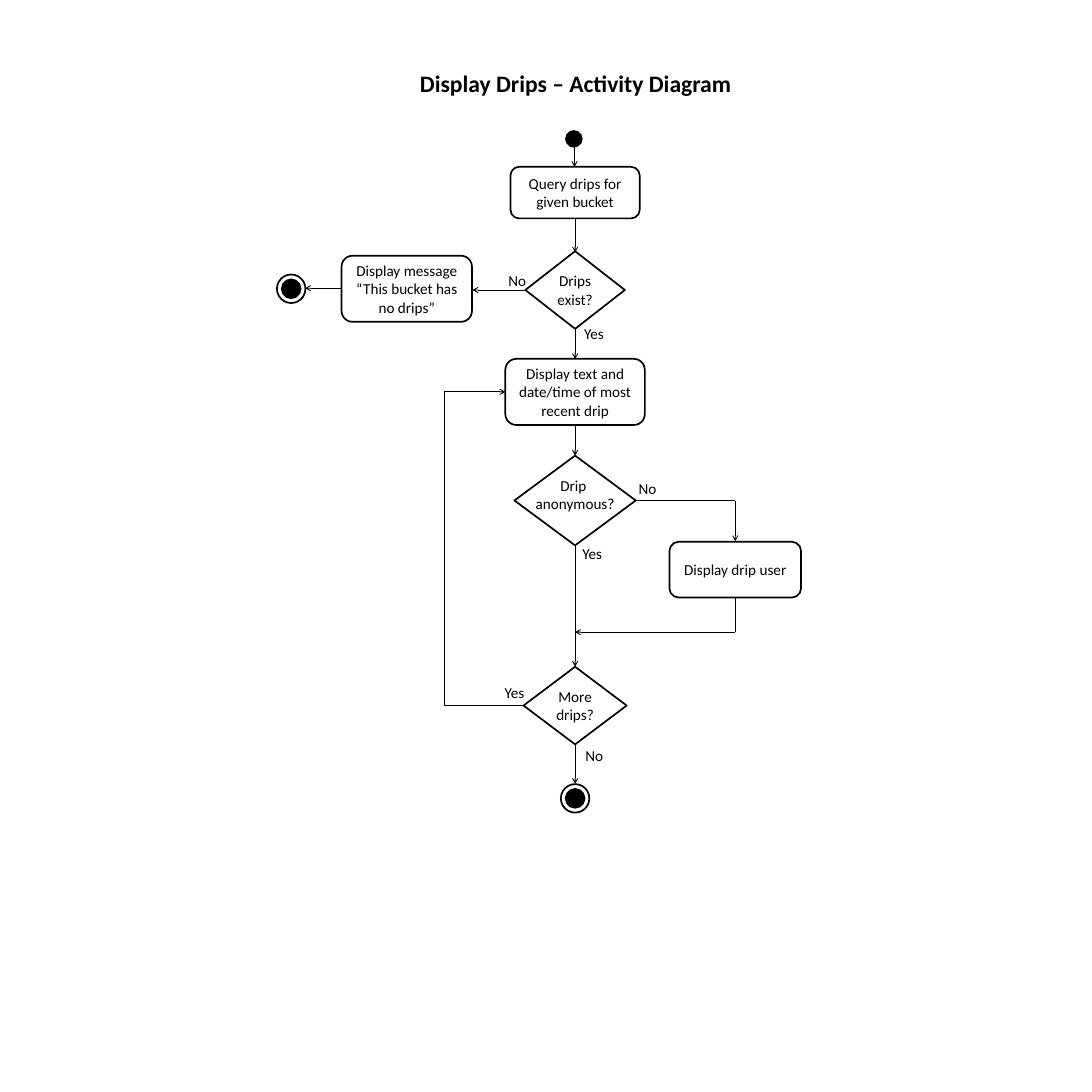
from dataclasses import dataclass

from lxml.etree import SubElement
from pptx import Presentation
from pptx.dml.color import RGBColor
from pptx.enum.shapes import MSO_CONNECTOR, MSO_SHAPE
from pptx.enum.text import MSO_ANCHOR, MSO_AUTO_SIZE, PP_ALIGN
from pptx.oxml.ns import qn
from pptx.shapes.autoshape import Shape
from pptx.slide import Slide
from pptx.text.text import TextFrame
from pptx.util import Inches, Length, Pt

SLIDE_SIZE = Inches(18)
GRID_CELLS = 180
BLACK, WHITE = "000000", "FFFFFF"
SPINE, USER_COLUMN, LOOP_COLUMN = 94.8, 121.2, 73.2
EMPTY_ROW, RECENT_ROW, ANONYMOUS_ROW, MERGE_ROW, MORE_ROW = 47.6, 64.6, 82.5, 104.2, 116.3
ACTION = MSO_SHAPE.FLOWCHART_ALTERNATE_PROCESS
DECISION = MSO_SHAPE.FLOWCHART_DECISION
CIRCLE = MSO_SHAPE.OVAL


@dataclass
class Node:
    kind: MSO_SHAPE
    column: float
    row: float
    columns: float
    rows: float
    text: str = ""
    fill: str = WHITE
    wrap: bool = True
    lift: float = 0


@dataclass
class Flow:
    points: list[tuple[float, float]]


@dataclass
class Label:
    text: str
    column: float
    row: float
    columns: float
    rows: float = 4
    size: int = 18
    bold: bool = False
    align: PP_ALIGN = PP_ALIGN.LEFT


def final_state(column: float, row: float) -> list[Node]:
    return [Node(CIRCLE, column, row, 4.7, 4.7),
            Node(CIRCLE, column, row, 3.1, 3.1, fill=BLACK)]


NODES = [
    Node(CIRCLE, 94.6, 22.9, 2.6, 2.6, fill=BLACK),
    Node(ACTION, SPINE, 31.75, 21.3, 8.5, "Query drips for given bucket"),
    Node(DECISION, SPINE, 47.8, 16.4, 12.8, "Drips exist?"),
    Node(ACTION, 67.05, EMPTY_ROW, 21.5, 10.9, "Display message “This bucket has no drips”"),
    Node(ACTION, SPINE, RECENT_ROW, 23, 10.9, "Display text and date/time of most recent drip"),
    Node(DECISION, SPINE, ANONYMOUS_ROW, 20, 14.8, "Drip \nanonymous?", wrap=False, lift=2),
    Node(ACTION, USER_COLUMN, 93.9, 21.7, 9.2, "Display drip user"),
    Node(DECISION, SPINE, MORE_ROW, 17, 12.8, "More\ndrips?"),
    *final_state(SPINE, 131.6),
    *final_state(48, EMPTY_ROW),
]

FLOWS = [
    Flow([(94.7, 23.2), (94.7, 27.5)]),
    Flow([(SPINE, 36), (SPINE, 41.6)]),
    Flow([(86.6, 47.8), (77.9, 47.8)]),
    Flow([(56.2, 47.5), (50.3, 47.5)]),
    Flow([(SPINE, 54.1), (SPINE, 59.2)]),
    Flow([(SPINE, 70.1), (SPINE, 75.1)]),
    Flow([(104.8, ANONYMOUS_ROW), (USER_COLUMN, ANONYMOUS_ROW), (USER_COLUMN, 89.2)]),
    Flow([(USER_COLUMN, 98.4), (USER_COLUMN, MERGE_ROW), (SPINE, MERGE_ROW)]),
    Flow([(SPINE, 89.9), (SPINE, 109.9)]),
    Flow([(SPINE, 122.6), (SPINE, 129.2)]),
    Flow([(86.3, MORE_ROW), (LOOP_COLUMN, MORE_ROW), (LOOP_COLUMN, RECENT_ROW), (83.3, RECENT_ROW)]),
]

LABELS = [
    Label("Display Drips – Activity Diagram", 67.9, 10.8, 53.9, 5.7, 28, True, PP_ALIGN.CENTER),
    Label("No", 82.8, 44.2, 5),
    Label("Yes", 95.3, 53, 5.3),
    Label("No", 104.3, 78.5, 5),
    Label("Yes", 95, 89.2, 5.3),
    Label("Yes", 82.2, 112.2, 5.3),
    Label("No", 95.5, 122.6, 5),
]


def cells(count: float) -> Length:
    return Length(round(SLIDE_SIZE * count / GRID_CELLS))


def color(value: str) -> RGBColor:
    return RGBColor.from_string(value)


def write(frame: TextFrame, text: str, align: PP_ALIGN, size: int = 18, bold: bool = False) -> None:
    frame.text = text
    for paragraph in frame.paragraphs:
        paragraph.alignment = align
        for run in paragraph.runs:
            run.font.name = "Calibri"
            run.font.size = Pt(size)
            run.font.bold = bold
            run.font.color.rgb = color(BLACK)


def draw_node(slide: Slide, node: Node) -> Shape:
    shape = slide.shapes.add_shape(
        node.kind, cells(node.column - node.columns / 2), cells(node.row - node.rows / 2),
        cells(node.columns), cells(node.rows))
    shape.shadow.inherit = False
    shape.fill.solid()
    shape.fill.fore_color.rgb = color(node.fill)
    shape.line.color.rgb = color(BLACK)
    shape.line.width = Pt(2)
    if node.text:
        frame = shape.text_frame
        frame.word_wrap = node.wrap
        frame.vertical_anchor = MSO_ANCHOR.MIDDLE
        if node.lift:
            frame.margin_top = 0
            frame.margin_bottom = cells(node.lift)
        write(frame, node.text, PP_ALIGN.CENTER)
    return shape


def draw_flow(slide: Slide, flow: Flow) -> None:
    for start, end in zip(flow.points, flow.points[1:]):
        segment = slide.shapes.add_connector(
            MSO_CONNECTOR.STRAIGHT, *(cells(value) for value in (*start, *end)))
        segment.line.color.rgb = color(BLACK)
        segment.line.width = Pt(1)
        if end == flow.points[-1]:
            SubElement(segment.line._get_or_add_ln(), qn("a:tailEnd"), type="arrow")
        SubElement(segment._element.spPr, qn("a:effectLst"))


def draw_label(slide: Slide, label: Label) -> None:
    box = slide.shapes.add_textbox(
        cells(label.column), cells(label.row), cells(label.columns), cells(label.rows))
    box.text_frame.word_wrap = False
    box.text_frame.auto_size = MSO_AUTO_SIZE.SHAPE_TO_FIT_TEXT
    write(box.text_frame, label.text, label.align, label.size, label.bold)


def main() -> None:
    deck = Presentation()
    deck.slide_width = deck.slide_height = SLIDE_SIZE
    slide = deck.slides.add_slide(deck.slide_layouts[6])
    for node in NODES:
        draw_node(slide, node)
    for flow in FLOWS:
        draw_flow(slide, flow)
    for label in LABELS:
        draw_label(slide, label)
    deck.save("out.pptx")


if __name__ == "__main__":
    main()
